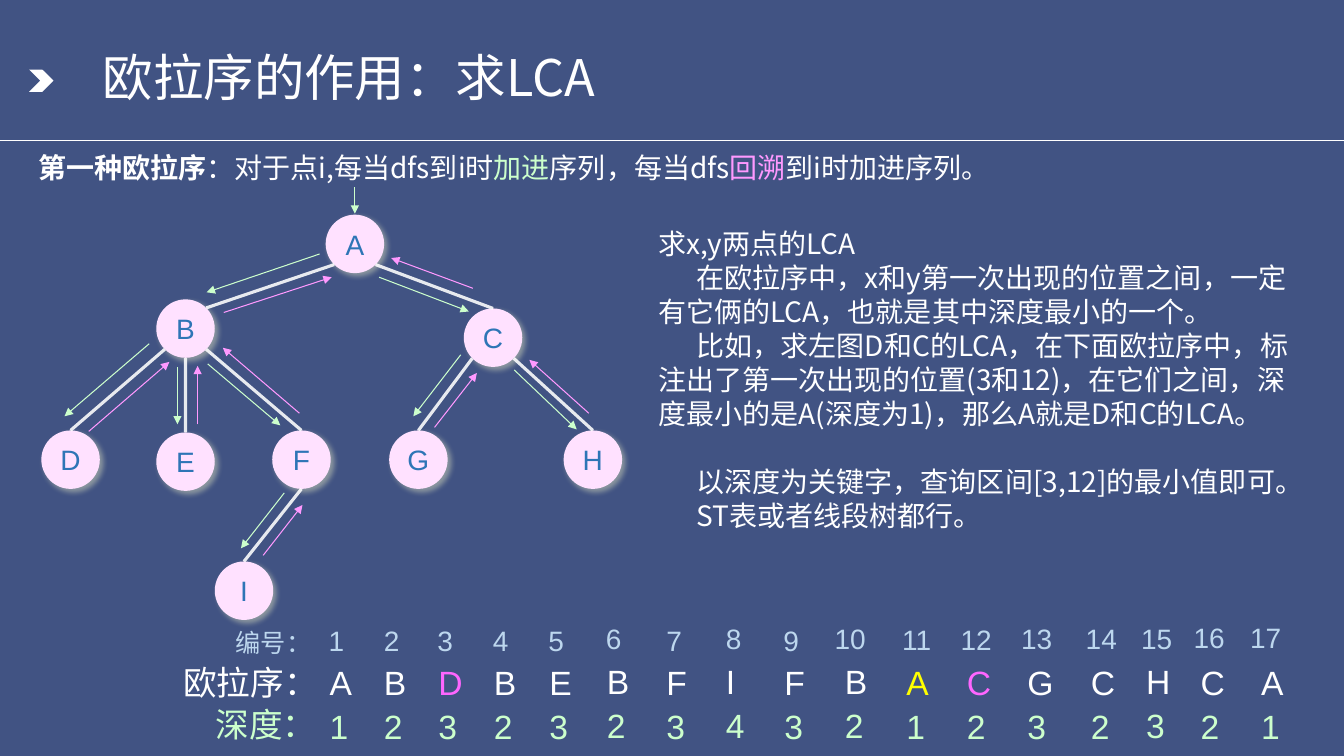
from dataclasses import dataclass
from math import sqrt
from typing import NamedTuple

from lxml.etree import SubElement
from pptx import Presentation
from pptx.dml.color import RGBColor
from pptx.enum.shapes import MSO_CONNECTOR, MSO_SHAPE
from pptx.enum.text import MSO_ANCHOR, MSO_AUTO_SIZE, PP_ALIGN
from pptx.oxml.ns import qn
from pptx.shapes.connector import Connector
from pptx.slide import Slide
from pptx.text.text import TextFrame, _Paragraph
from pptx.util import Inches, Pt

NAVY = RGBColor(0x41, 0x53, 0x83)
WHITE = RGBColor(0xFF, 0xFF, 0xFF)
GREEN = RGBColor(0xCC, 0xFF, 0xCC)
PINK = RGBColor(0xFF, 0x99, 0xFF)
MAGENTA = RGBColor(0xFF, 0x66, 0xFF)
YELLOW = RGBColor(0xFF, 0xFF, 0x00)
PALE_BLUE = RGBColor(0xBD, 0xD7, 0xEE)
NODE_FILL = RGBColor(0xFF, 0xE1, 0xFF)
NODE_TEXT = RGBColor(0x2E, 0x75, 0xB6)
CHINESE_FONT = "Noto Sans CJK SC"
NODE_SIZE = 0.58
LINE_HEIGHT = Pt(24.2)
INDENT = Inches(0.38)


@dataclass
class Node:
    name: str
    x: float
    y: float


class Edge(NamedTuple):
    parent: str
    child: str
    side: int


class Arrow(NamedTuple):
    start: tuple[float, float]
    end: tuple[float, float]
    color: RGBColor


@dataclass
class Visit:
    node: str
    depth: int
    left: float
    top: float
    number_left: float
    number_top: float
    color: RGBColor = WHITE


class Label(NamedTuple):
    text: str
    left: float
    top: float
    size: int
    color: RGBColor


class Segment(NamedTuple):
    text: str
    color: RGBColor = WHITE
    bold: bool = False


NODES = {node.name: node for node in (
    Node("A", 3.52, 2.42), Node("B", 1.84, 3.26), Node("C", 4.89, 3.35),
    Node("D", 0.7, 4.56), Node("E", 1.84, 4.58), Node("F", 2.99, 4.56),
    Node("G", 4.15, 4.56), Node("H", 5.88, 4.56), Node("I", 2.42, 5.86),
)}
EDGES = [
    Edge("A", "C", 1), Edge("B", "D", -1), Edge("B", "E", 0), Edge("B", "F", 1),
    Edge("C", "G", -1), Edge("C", "H", 1), Edge("F", "I", 0),
]
ARROWS = [
    Arrow((3.52, 1.86), (3.52, 2.12), GREEN),
    Arrow((3.17, 2.52), (2.05, 2.9), GREEN), Arrow((2.22, 3.1), (3.29, 2.75), PINK),
    Arrow((1.48, 3.41), (0.64, 4.13), GREEN), Arrow((0.88, 4.28), (1.68, 3.59), PINK),
    Arrow((1.76, 3.64), (1.76, 4.21), GREEN), Arrow((1.96, 4.21), (1.96, 3.63), PINK),
    Arrow((2.06, 3.61), (2.78, 4.22), GREEN), Arrow((2.97, 4.1), (2.21, 3.45), PINK),
    Arrow((2.82, 4.89), (2.39, 5.44), GREEN), Arrow((2.61, 5.51), (3, 5.01), PINK),
    Arrow((3.76, 2.75), (4.65, 3.09), GREEN), Arrow((4.69, 2.86), (3.88, 2.56), PINK),
    Arrow((4.57, 3.52), (4.1, 4.13), GREEN), Arrow((4.31, 4.24), (4.73, 3.7), PINK),
    Arrow((5.1, 3.67), (5.72, 4.26), GREEN), Arrow((5.84, 4.1), (5.25, 3.57), PINK),
]
VISITS = [
    Visit("A", 1, 3.17, 6.52, 3.16, 6.14), Visit("B", 2, 3.71, 6.52, 3.71, 6.14),
    Visit("D", 3, 4.25, 6.52, 4.24, 6.14, MAGENTA), Visit("B", 2, 4.8, 6.52, 4.79, 6.14),
    Visit("E", 3, 5.35, 6.52, 5.34, 6.14), Visit("B", 2, 5.92, 6.51, 5.91, 6.12),
    Visit("F", 3, 6.51, 6.52, 6.51, 6.14), Visit("I", 4, 7.1, 6.51, 7.1, 6.12),
    Visit("F", 3, 7.68, 6.52, 7.67, 6.14), Visit("B", 2, 8.28, 6.51, 8.18, 6.12),
    Visit("A", 1, 8.89, 6.52, 8.85, 6.13, YELLOW), Visit("C", 2, 9.49, 6.52, 9.43, 6.13, MAGENTA),
    Visit("G", 3, 10.09, 6.52, 10.03, 6.12), Visit("C", 2, 10.72, 6.52, 10.67, 6.12),
    Visit("H", 3, 11.27, 6.51, 11.22, 6.12), Visit("C", 2, 11.81, 6.52, 11.74, 6.11),
    Visit("A", 1, 12.41, 6.52, 12.3, 6.11),
]
LABELS = [
    Label("编号：", 2.24, 6.17, 18, PALE_BLUE),
    Label("欧拉序：", 1.72, 6.52, 24, WHITE),
    Label("深度：", 2.04, 6.93, 24, GREEN),
]
OPENING = [
    Segment("第一种欧拉序", bold=True), Segment("：对于点i,每当dfs到i时"),
    Segment("加进", GREEN), Segment("序列，每当dfs"), Segment("回溯", PINK),
    Segment("到i时加进序列。"),
]
EXPLANATION = [
    ("求x,y两点的LCA", {}),
    ("在欧拉序中，x和y第一次出现的位置之间，一定有它俩的LCA，也就是其中深度最小的一个。", {}),
    ("比如，求左图D和C的LCA，在下面欧拉序中，标注出了第一次出现的位置(3和12)，在它们之间，"
     "深度最小的是A(深度为1)，那么A就是D和C的LCA。", {}),
    ("以深度为关键字，查询区间[3,12]的最小值即可。", {"space_before": LINE_HEIGHT}),
    ("ST表或者线段树都行。", {}),
]


def set_attributes(target: object, values: dict) -> None:
    for name, value in values.items():
        setattr(target, name, value)


def add_text(paragraph: _Paragraph, text: str, size: int, color: RGBColor,
             font: str = "Arial", bold: bool = False) -> None:
    run = paragraph.add_run()
    run.text = text
    set_attributes(run.font, {"size": Pt(size), "name": font, "bold": bold})
    run.font.color.rgb = color
    SubElement(run.font._element, qn("a:ea"), typeface=font)


def add_text_box(slide: Slide, left: float, top: float, width: float, height: float) -> TextFrame:
    box = slide.shapes.add_textbox(Inches(left), Inches(top), Inches(width), Inches(height))
    set_attributes(box.text_frame, {"word_wrap": True, "auto_size": MSO_AUTO_SIZE.SHAPE_TO_FIT_TEXT})
    return box.text_frame


def add_label(slide: Slide, label: Label, width: float) -> None:
    frame = add_text_box(slide, label.left, label.top, width, label.size / 60 + 0.1)
    add_text(frame.paragraphs[0], label.text, label.size, label.color)


def add_line(slide: Slide, start: tuple[float, float], end: tuple[float, float],
             color: RGBColor, width: float) -> Connector:
    line = slide.shapes.add_connector(MSO_CONNECTOR.STRAIGHT, *map(Inches, start + end))
    line.line.color.rgb = color
    line.line.width = Pt(width)
    SubElement(line._element.spPr, qn("a:effectLst"))
    return line


def add_node(slide: Slide, node: Node) -> None:
    half = NODE_SIZE / 2
    shape = slide.shapes.add_shape(MSO_SHAPE.OVAL, Inches(node.x - half), Inches(node.y - half),
                                   Inches(NODE_SIZE), Inches(NODE_SIZE))
    shape.fill.solid()
    shape.fill.fore_color.rgb = NODE_FILL
    shape.line.fill.background()
    shape.shadow.inherit = False
    effects = shape._element.spPr.find(qn("a:effectLst"))
    shadow = SubElement(effects, qn("a:outerShdw"), blurRad=str(Pt(4)), dist=str(Pt(3)),
                        dir="2700000", algn="tl", rotWithShape="0")
    color = SubElement(shadow, qn("a:srgbClr"), val="FFFFCC")
    SubElement(color, qn("a:alpha"), val="40000")
    set_attributes(shape.text_frame, {
        "margin_left": 0, "margin_right": 0, "margin_top": 0, "margin_bottom": 0,
        "vertical_anchor": MSO_ANCHOR.MIDDLE, "word_wrap": True})
    paragraph = shape.text_frame.paragraphs[0]
    paragraph.alignment = PP_ALIGN.CENTER
    add_text(paragraph, node.name, 20, NODE_TEXT)


def add_edge(slide: Slide, edge: Edge) -> None:
    parent, child = NODES[edge.parent], NODES[edge.child]
    radius = NODE_SIZE / 2
    diagonal = radius / sqrt(2)
    start = (parent.x + edge.side * diagonal, parent.y + (diagonal if edge.side else radius))
    end = (child.x, child.y - radius)
    if edge == ("A", "B", -1):
        end = (child.x + diagonal, child.y - diagonal)
    line = add_line(slide, start, end, WHITE, 2.25)
    color = line.line._ln.find(".//" + qn("a:srgbClr"))
    SubElement(color, qn("a:alpha"), val="88000")


def add_arrow(slide: Slide, arrow: Arrow) -> None:
    line = add_line(slide, arrow.start, arrow.end, arrow.color, 0.75)
    SubElement(line.line._ln, qn("a:tailEnd"), type="triangle")


def add_heading(slide: Slide) -> None:
    add_line(slide, (0, 1.39), (13.33, 1.39), WHITE, 0.75)
    chevron = slide.shapes.add_shape(MSO_SHAPE.CHEVRON, Inches(0.29), Inches(0.69), Inches(0.24), Inches(0.22))
    chevron.fill.solid()
    chevron.fill.fore_color.rgb = WHITE
    chevron.line.fill.background()
    chevron.shadow.inherit = False
    title = slide.shapes.title
    set_attributes(title, {"left": Inches(0.92), "top": Inches(0.4),
                           "width": Inches(11.5), "height": Inches(0.79)})
    title.text_frame.vertical_anchor = MSO_ANCHOR.MIDDLE
    paragraph = title.text_frame.paragraphs[0]
    set_attributes(paragraph, {"alignment": PP_ALIGN.LEFT, "line_spacing": 0.9})
    add_text(paragraph, "欧拉序的作用：求LCA", 36, WHITE, CHINESE_FONT)


def add_prose(slide: Slide) -> None:
    opening = add_text_box(slide, 0.28, 1.44, 9.49, 0.44).paragraphs[0]
    opening.line_spacing = LINE_HEIGHT
    for segment in OPENING:
        add_text(opening, segment.text, 20, segment.color, CHINESE_FONT, segment.bold)
    frame = add_text_box(slide, 6.43, 2.2, 6.46, 3.13)
    for index, (text, spacing) in enumerate(EXPLANATION):
        paragraph = frame.add_paragraph() if index else frame.paragraphs[0]
        set_attributes(paragraph, {"line_spacing": LINE_HEIGHT, **spacing})
        if index:
            paragraph._p.get_or_add_pPr().set("indent", str(INDENT))
        add_text(paragraph, text, 20, WHITE, CHINESE_FONT)


def add_sequence(slide: Slide) -> None:
    for label in LABELS:
        add_label(slide, label, 1.39)
    for number, visit in enumerate(VISITS, 1):
        add_label(slide, Label(str(number), visit.number_left, visit.number_top, 20, PALE_BLUE),
                  0.48 if number < 10 else 0.6)
        add_label(slide, Label(visit.node, visit.left, visit.top, 24, visit.color), 0.48)
        add_label(slide, Label(str(visit.depth), visit.left, visit.top + 0.43, 24, GREEN), 0.48)


def main() -> None:
    presentation = Presentation()
    set_attributes(presentation, {"slide_width": Inches(13.33), "slide_height": Inches(7.5)})
    slide = presentation.slides.add_slide(presentation.slide_layouts[5])
    slide.background.fill.solid()
    slide.background.fill.fore_color.rgb = NAVY
    add_heading(slide)
    add_prose(slide)
    for node in NODES.values():
        add_node(slide, node)
    for edge in [Edge("A", "B", -1), *EDGES]:
        add_edge(slide, edge)
    for arrow in ARROWS:
        add_arrow(slide, arrow)
    add_sequence(slide)
    presentation.save("out.pptx")


if __name__ == "__main__":
    main()
